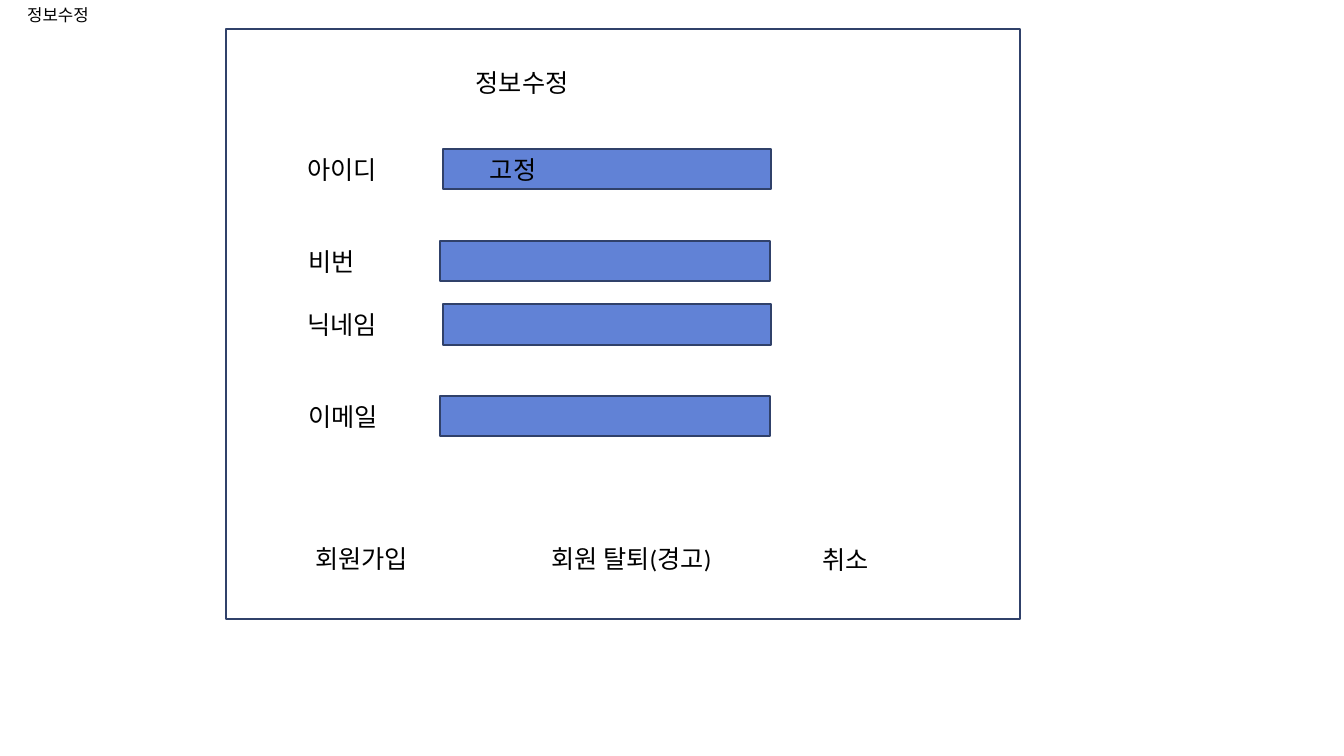
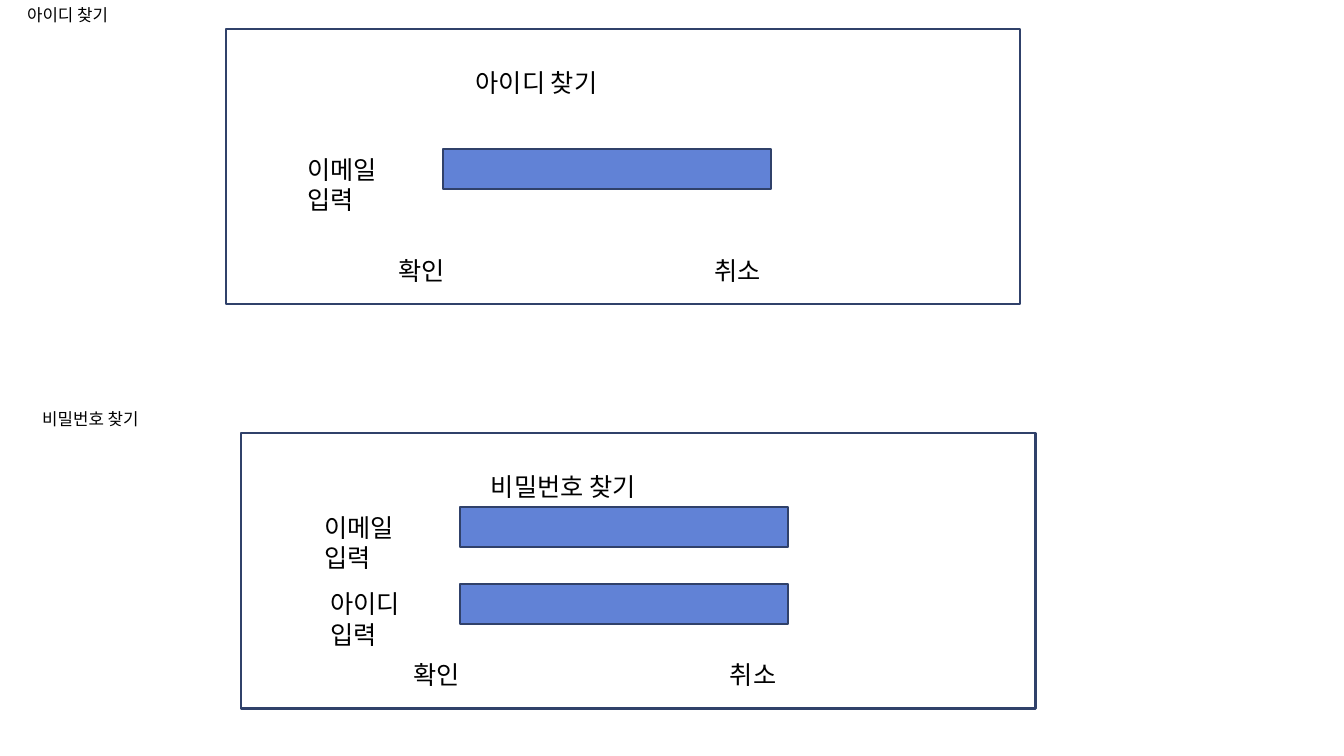
from dataclasses import dataclass

from pptx import Presentation
from pptx import util as u
from pptx.dml.color import RGBColor
from pptx.enum import shapes, text

EMU_PER_PX = 9144  # 100 px to the inch
FONT = "Calibri"
BLACK = RGBColor(0x00, 0x00, 0x00)
WHITE = RGBColor(0xFF, 0xFF, 0xFF)
FIELD_BLUE = RGBColor(0x61, 0x82, 0xD6)
OUTLINE_NAVY = RGBColor(0x30, 0x41, 0x6A)

PANEL_WIDTH = 788
LINE_HEIGHT = 40
TWO_LINES = 70


@dataclass(frozen=True)
class Field:
    """A labelled input bar; offsets are from the panel's corner."""
    label: str
    top: int
    label_left: int = 71
    bar_left: int = 215
    bar_width: int = 326
    label_height: int = LINE_HEIGHT
    value: str = ""


@dataclass(frozen=True)
class Button:
    label: str
    left: int
    top: int
    width: int = 188


@dataclass(frozen=True)
class Panel:
    """A form mock-up with its page caption."""
    title: str
    left: int
    top: int
    height: int
    fields: tuple[Field, ...]
    buttons: tuple[Button, ...]


def px(length: int) -> u.Emu:
    return u.Emu(length * EMU_PER_PX)


def add_text(slide, content: str, left: int, top: int, width: int,
             height: int = LINE_HEIGHT, size: int = 18) -> None:
    box = slide.shapes.add_textbox(px(left), px(top), px(width), px(height))
    frame = box.text_frame
    frame.word_wrap = True
    frame.auto_size = text.MSO_AUTO_SIZE.SHAPE_TO_FIT_TEXT
    paragraph = frame.paragraphs[0]
    paragraph.text = content
    paragraph.font.name = FONT
    paragraph.font.size = u.Pt(size)
    paragraph.font.color.rgb = BLACK


def add_box(slide, left: int, top: int, width: int, height: int,
            fill: RGBColor) -> None:
    shape = slide.shapes.add_shape(shapes.MSO_SHAPE.RECTANGLE,
                                   px(left), px(top), px(width), px(height))
    shape.shadow.inherit = False
    shape.fill.solid()
    shape.fill.fore_color.rgb = fill
    shape.line.color.rgb = OUTLINE_NAVY
    shape.line.width = u.Pt(1.5)


def add_field(slide, panel: Panel, field: Field) -> None:
    top = panel.top + field.top
    bar_left = panel.left + field.bar_left
    add_text(slide, field.label, panel.left + field.label_left, top, 102,
             field.label_height)
    add_box(slide, bar_left, top, field.bar_width, LINE_HEIGHT, FIELD_BLUE)
    if field.value:
        add_text(slide, field.value, bar_left + 37, top, 222)


def add_panel(slide, panel: Panel) -> None:
    # Caption above the frame, then the frame and its title
    add_text(slide, panel.title, panel.left - 207, panel.top - 29, 245, 29, 12)
    add_box(slide, panel.left, panel.top, PANEL_WIDTH, panel.height, WHITE)
    add_text(slide, panel.title, panel.left + 238, panel.top + 33, 344)
    # Form contents
    for field in panel.fields:
        add_field(slide, panel, field)
    for button in panel.buttons:
        add_text(slide, button.label, panel.left + button.left,
                 panel.top + button.top, button.width)


# Forms on each slide
CONFIRM_CANCEL = (Button("확인", 161, 219), Button("취소", 475, 219))

EDIT_PROFILE = Panel(
    "정보수정", 224, 29, 585,
    (Field("아이디", 119, value="고정"),
     Field("비번", 210, 72, 212, 328),
     Field("닉네임", 273),
     Field("이메일", 364, 72, 212, 328)),
    (Button("회원가입", 79, 505),
     Button("회원 탈퇴(경고)", 313, 505, 194),
     Button("취소", 582, 506)))

FIND_ID = Panel(
    "아이디 찾기", 224, 29, 273,
    (Field("이메일 입력", 119, label_height=TWO_LINES),),
    CONFIRM_CANCEL)

FIND_PASSWORD = Panel(
    "비밀번호 찾기", 239, 430, 273,
    (Field("이메일 입력", 73, 73, 217, label_height=TWO_LINES),
     Field("아이디입력", 149, 79, 217, label_height=TWO_LINES)),
    CONFIRM_CANCEL)

SLIDES = ((EDIT_PROFILE,), (FIND_ID, FIND_PASSWORD))


def main() -> None:
    presentation = Presentation()
    presentation.slide_width = px(1333)
    presentation.slide_height = px(750)
    blank = presentation.slide_layouts[6]
    for panels in SLIDES:
        slide = presentation.slides.add_slide(blank)
        for panel in panels:
            add_panel(slide, panel)
    presentation.save("out.pptx")


if __name__ == "__main__":
    main()
